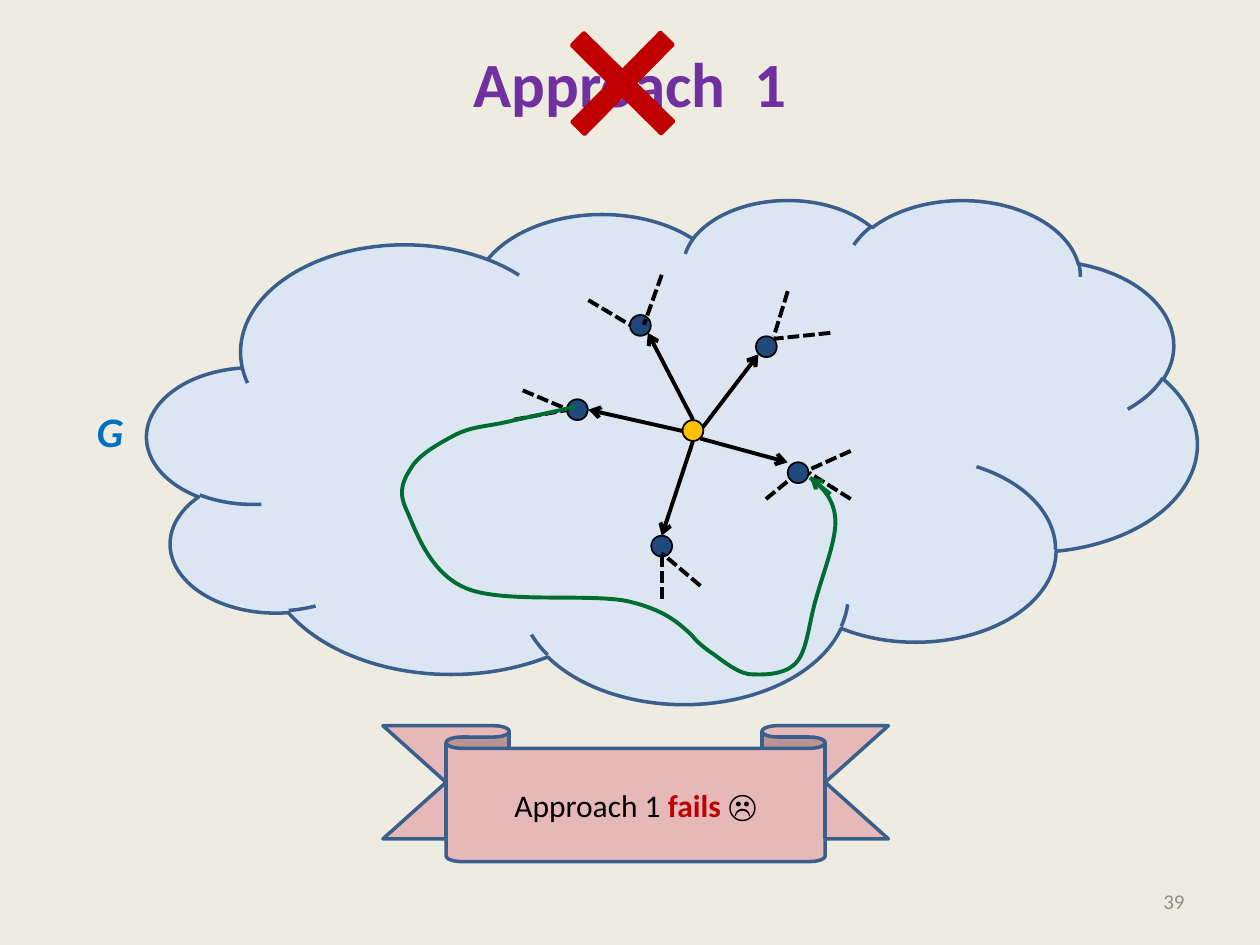
from itertools import chain
from pptx import Presentation
from pptx.dml.color import RGBColor
from pptx.enum.dml import MSO_LINE
from pptx.enum.shapes import MSO_CONNECTOR, MSO_SHAPE
from pptx.enum.text import MSO_ANCHOR, PP_ALIGN
from pptx.oxml.ns import qn
from pptx.oxml.xmlchemy import OxmlElement
from pptx.util import Cm, Pt

# All lengths in centimetres
BLACK, BLUE, GREEN, RED = "000000", "3A5F8C", "006C31", "C00000"
DOT = 0.42
HUB = (13.97, 8.68)
# Each node: centre, arrow from the hub, dashed edges leaving the node
NODES = [
    ((11.64, 8.26), ((13.77, 8.69), (11.86, 8.26)),
     [((10.36, 8.46), (11.46, 8.26)), ((10.54, 7.87), (11.46, 8.26))]),
    ((13.34, 11.01), ((13.97, 8.89), (13.34, 10.8)),
     [((13.34, 12.07), (13.34, 11.23)), ((14.12, 11.81), (13.34, 11.15))]),
    ((16.09, 9.53), ((14.12, 8.84), (15.88, 9.32)),
     [((17.15, 10.06), (16.31, 9.53)), ((17.15, 9.09), (16.31, 9.47)),
      ((15.44, 10.06), (15.88, 9.7))]),
    ((15.45, 6.99), ((14.17, 8.61), (15.29, 7.14)),
     [((16.74, 6.71), (15.6, 6.83)), ((15.88, 5.87), (15.6, 6.78))]),
    ((12.91, 6.56), ((13.97, 8.46), (13.06, 6.71)),
     [((11.86, 6.05), (12.7, 6.55)), ((13.34, 5.54), (12.98, 6.55))]),
]
# Start point, then three points for each Bezier piece
WALKS = [
    [(11.61, 8.2),
     (11.11, 8.31), (10.61, 8.42), (10.11, 8.53),
     (9.7, 8.61), (9.5, 8.61), (9.19, 8.76),
     (8.89, 8.92), (8.48, 9.14), (8.31, 9.4),
     (8.15, 9.65), (8, 9.88), (8.2, 10.29),
     (8.38, 10.69), (8.66, 11.56), (9.4, 11.86),
     (10.13, 12.17), (11.89, 11.96), (12.65, 12.12),
     (13.39, 12.29), (13.67, 12.55), (13.94, 12.8)],
    [(13.94, 12.8),
     (14.02, 12.9), (14.12, 13), (14.3, 13.13),
     (14.5, 13.26), (14.81, 13.54), (15.09, 13.59),
     (15.39, 13.61), (15.82, 13.61), (16.05, 13.36),
     (16.28, 13.11), (16.31, 12.52), (16.46, 12.04),
     (16.59, 11.56), (16.87, 10.87), (16.84, 10.46),
     (16.81, 10.06), (16.59, 9.83), (16.33, 9.63)],
]
WALK_TIP = ((16.74, 9.96), (16.33, 9.63))
VERDICT = [("Approach 1 ", BLACK, False), ("fails ", RED, True), ("☹", BLACK, False)]


def color(text):
    return RGBColor.from_string(text)


def stroke(item, hue, width):
    item.line.color.rgb = color(hue)
    item.line.width = Pt(width)


def style(font, size, hue, bold=False, italic=False):
    font.name, font.size = "Calibri", Pt(size)
    font.color.rgb = color(hue)
    font.bold, font.italic = bold, italic


def add_shape(kind, box, fill, line, width):
    shape = slide.shapes.add_shape(kind, *map(Cm, box))
    shape.shadow.inherit = False
    shape.fill.solid()
    shape.fill.fore_color.rgb = color(fill)
    stroke(shape, line, width)
    return shape


def add_dot(center, fill):
    x, y = center
    add_shape(MSO_SHAPE.OVAL, (x - DOT / 2, y - DOT / 2, DOT, DOT), fill, BLACK, 1)


def add_line(start, end, hue=BLACK, dashed=False):
    """Draw a dashed edge, or a solid arrow."""
    line = slide.shapes.add_connector(
        MSO_CONNECTOR.STRAIGHT, *map(Cm, chain(start, end)))
    stroke(line, hue, 2.25)
    if dashed:
        line.line.dash_style = MSO_LINE.SQUARE_DOT
    else:
        tip = OxmlElement("a:tailEnd")
        tip.set("type", "arrow")
        line.line._get_or_add_ln().append(tip)
    line._element.spPr.append(OxmlElement("a:effectLst"))


def add_walk(points):
    """Draw an open curve: every three points after the first form a Bezier piece."""
    first, *rest = [(Cm(x), Cm(y)) for x, y in points]
    pen = slide.shapes.build_freeform(*first)
    pen.add_line_segments(rest, close=False)
    walk = pen.convert_to_shape()
    walk.shadow.inherit = False
    walk.fill.background()
    stroke(walk, GREEN, 2.25)
    track = next(walk._element.iter(qn("a:path")))
    steps = iter(track.findall(qn("a:lnTo")))
    for trio in zip(steps, steps, steps):
        curve = OxmlElement("a:cubicBezTo")
        for step in trio:
            curve.append(step[0])
            track.remove(step)
        track.append(curve)


def add_label(text, box, align=PP_ALIGN.LEFT, anchor=MSO_ANCHOR.TOP, **look):
    frame = slide.shapes.add_textbox(*map(Cm, box)).text_frame
    frame.word_wrap = True
    frame.vertical_anchor = anchor
    para = frame.paragraphs[0]
    para.text, para.alignment = text, align
    style(para.font, **look)


deck = Presentation()
deck.slide_width, deck.slide_height = Cm(25.4), Cm(19.05)
slide = deck.slides.add_slide(deck.slide_layouts[5])
slide.background.fill.solid()
slide.background.fill.fore_color.rgb = color("EEECE1")

title = slide.shapes.title
title.left, title.top, title.width, title.height = map(Cm, (1.27, 0.76, 22.86, 3.18))
title.text_frame.text = "Approach  1"
title.text_frame.vertical_anchor = MSO_ANCHOR.TOP
head = title.text_frame.paragraphs[0]
head.alignment = PP_ALIGN.CENTER
style(head.font, 36, "7030A0", bold=True)

add_label("39", (18.21, 17.65, 5.92, 1.02), PP_ALIGN.RIGHT, MSO_ANCHOR.MIDDLE,
          size=12, hue="8C8C8C")
add_shape(MSO_SHAPE.CLOUD, (2.97, 4.01, 21.16, 10.16), "DCE6F2", BLUE, 2)
add_label("G", (1.7, 8.05, 1.07, 1.27), size=24, hue="0070C0", bold=True, italic=True)

for _, arrow, _ in NODES:
    add_line(*arrow)
add_dot(HUB, "FFC000")
for center, _, _ in NODES:
    add_dot(center, "1F497D")
for _, _, edges in NODES:
    for edge in edges:
        add_line(*edge, dashed=True)
for points in WALKS:
    add_walk(points)
add_line(*WALK_TIP, hue=GREEN)

ribbon = add_shape(MSO_SHAPE.DOWN_RIBBON, (7.72, 14.63, 10.19, 2.74), "E6B9B8", BLUE, 2)
ribbon.adjustments[0], ribbon.adjustments[1] = 0.167, 0.75
ribbon.text_frame.vertical_anchor = MSO_ANCHOR.MIDDLE
line = ribbon.text_frame.paragraphs[0]
line.alignment = PP_ALIGN.CENTER
for text, hue, bold in VERDICT:
    run = line.add_run()
    run.text = text
    style(run.font, 18, hue, bold)

cross = add_shape(MSO_SHAPE.CROSS, (11.28, 0.41, 2.54, 2.54), RED, RED, 2)
cross.adjustments[0] = 0.43
cross.rotation = 44.6

deck.save("out.pptx")
